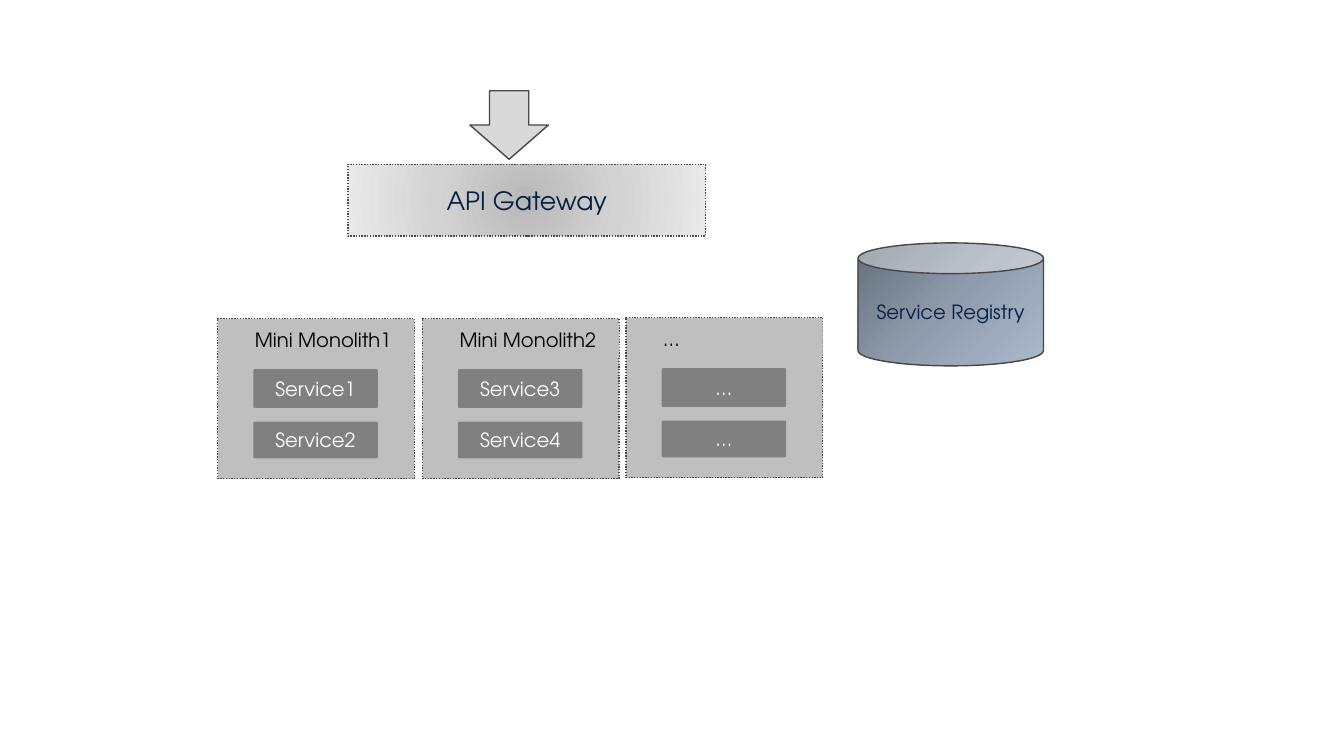
from dataclasses import dataclass
from typing import Optional

from pptx import Presentation
from pptx.dml.color import RGBColor
from pptx.enum.dml import MSO_LINE
from pptx.enum.shapes import MSO_SHAPE
from pptx.enum.text import MSO_ANCHOR, MSO_AUTO_SIZE, PP_ALIGN
from pptx.oxml import parse_xml
from pptx.oxml.ns import nsdecls
from pptx.shapes.autoshape import Shape
from pptx.util import Inches, Pt

FONT = "TeX Gyre Adventor"
OUTLINE = RGBColor(0x47, 0x46, 0x49)
NAVY = RGBColor(0x04, 0x1F, 0x41)
BLACK = RGBColor(0x00, 0x00, 0x00)
WHITE = RGBColor(0xFF, 0xFF, 0xFF)
ARROW_GRAY = RGBColor(0xD9, 0xD9, 0xD9)
PANEL_GRAY = RGBColor(0xBF, 0xBF, 0xBF)
SERVICE_GRAY = RGBColor(0x80, 0x80, 0x80)
GATEWAY_STOPS = (RGBColor(0xB8, 0xB8, 0xB8), RGBColor(0xD3, 0xD3, 0xD3), RGBColor(0xE9, 0xE9, 0xE9))
REGISTRY_STOPS = (RGBColor(0x65, 0x6E, 0x79), RGBColor(0x90, 0x9C, 0xAD), RGBColor(0xAB, 0xB9, 0xCD))
RADIAL = '<a:path path="circle"><a:fillToRect l="50000" t="50000" r="50000" b="50000"/></a:path>'
DIAGONAL = '<a:lin ang="2700000" scaled="0"/>'


@dataclass(frozen=True)
class Box:
    left: float
    top: float
    width: float
    height: float


@dataclass(frozen=True)
class Monolith:
    left: float
    top: float
    title: str
    services: tuple[str, str]


MONOLITHS = (
    Monolith(2.16, 3.16, "Mini Monolith1", ("Service1", "Service2")),
    Monolith(4.19, 3.16, "Mini Monolith2", ("Service3", "Service4")),
    Monolith(6.21, 3.15, "…", ("…", "…")),
)
# Top offset within the monolith, and height, of each service
SERVICE_ROWS = ((0.51, 0.37), (1.03, 0.35))


def draw(shapes, kind: MSO_SHAPE, box: Box, fill: RGBColor,
         line: Optional[RGBColor] = OUTLINE, dotted: bool = False) -> Shape:
    shape = shapes.add_shape(kind, Inches(box.left), Inches(box.top),
                             Inches(box.width), Inches(box.height))
    shape.shadow.inherit = False
    shape.fill.solid()
    shape.fill.fore_color.rgb = fill
    if line is None:
        shape.line.fill.background()
    else:
        shape.line.color.rgb = line
        shape.line.width = Pt(1)
    if dotted:
        shape.line.dash_style = MSO_LINE.ROUND_DOT
    return shape


def write(shape: Shape, text: str, color: RGBColor, size: int = 14,
          align: PP_ALIGN = PP_ALIGN.CENTER, anchor: MSO_ANCHOR = MSO_ANCHOR.MIDDLE) -> None:
    frame = shape.text_frame
    frame.word_wrap = True
    frame.vertical_anchor = anchor
    para = frame.paragraphs[0]
    para.text = text
    para.alignment = align
    para.font.name = FONT
    para.font.size = Pt(size)
    para.font.color.rgb = color


def shade(shape: Shape, colors: tuple[RGBColor, ...], direction: str) -> None:
    """Replace the solid fill with evenly spaced gradient stops."""
    step = 100000 // (len(colors) - 1)
    stops = "".join(f'<a:gs pos="{index * step}"><a:srgbClr val="{color}"/></a:gs>'
                    for index, color in enumerate(colors))
    gradient = parse_xml(f'<a:gradFill {nsdecls("a")} rotWithShape="1">'
                         f'<a:gsLst>{stops}</a:gsLst>{direction}</a:gradFill>')
    properties = shape._element.spPr
    properties.replace(properties.solidFill, gradient)


def draw_monolith(page, monolith: Monolith) -> None:
    shapes = page.shapes.add_group_shape().shapes
    left, top = monolith.left, monolith.top
    draw(shapes, MSO_SHAPE.RECTANGLE, Box(left, top, 1.95, 1.59), PANEL_GRAY, dotted=True)
    for name, (offset, height) in zip(monolith.services, SERVICE_ROWS):
        service = draw(shapes, MSO_SHAPE.ROUNDED_RECTANGLE,
                       Box(left + 0.36, top + offset, 1.22, height), SERVICE_GRAY, SERVICE_GRAY)
        service.adjustments[0] = 0.02
        write(service, name, WHITE)
    title = draw(shapes, MSO_SHAPE.RECTANGLE, Box(left + 0.27, top + 0.04, 1.68, 0.34),
                 PANEL_GRAY, line=None)
    write(title, monolith.title, BLACK, align=PP_ALIGN.LEFT, anchor=MSO_ANCHOR.TOP)
    title.text_frame.auto_size = MSO_AUTO_SIZE.SHAPE_TO_FIT_TEXT


def main() -> None:
    deck = Presentation()
    deck.slide_width, deck.slide_height = Inches(13.33), Inches(7.5)
    page = deck.slides.add_slide(deck.slide_layouts[6])

    # Gateway with its incoming arrow
    gateway = draw(page.shapes, MSO_SHAPE.RECTANGLE, Box(3.45, 1.63, 3.55, 0.71),
                   GATEWAY_STOPS[0], dotted=True)
    shade(gateway, GATEWAY_STOPS, RADIAL)
    write(gateway, "API Gateway", NAVY, size=18)
    draw(page.shapes, MSO_SHAPE.DOWN_ARROW, Box(4.66, 0.9, 0.78, 0.68), ARROW_GRAY)

    # Service registry
    registry = draw(page.shapes, MSO_SHAPE.CAN, Box(8.51, 2.41, 1.84, 1.22), REGISTRY_STOPS[0])
    shade(registry, REGISTRY_STOPS, DIAGONAL)
    write(registry, "Service Registry", NAVY)

    # Mini monoliths
    for monolith in MONOLITHS:
        draw_monolith(page, monolith)

    deck.save("out.pptx")


if __name__ == "__main__":
    main()
